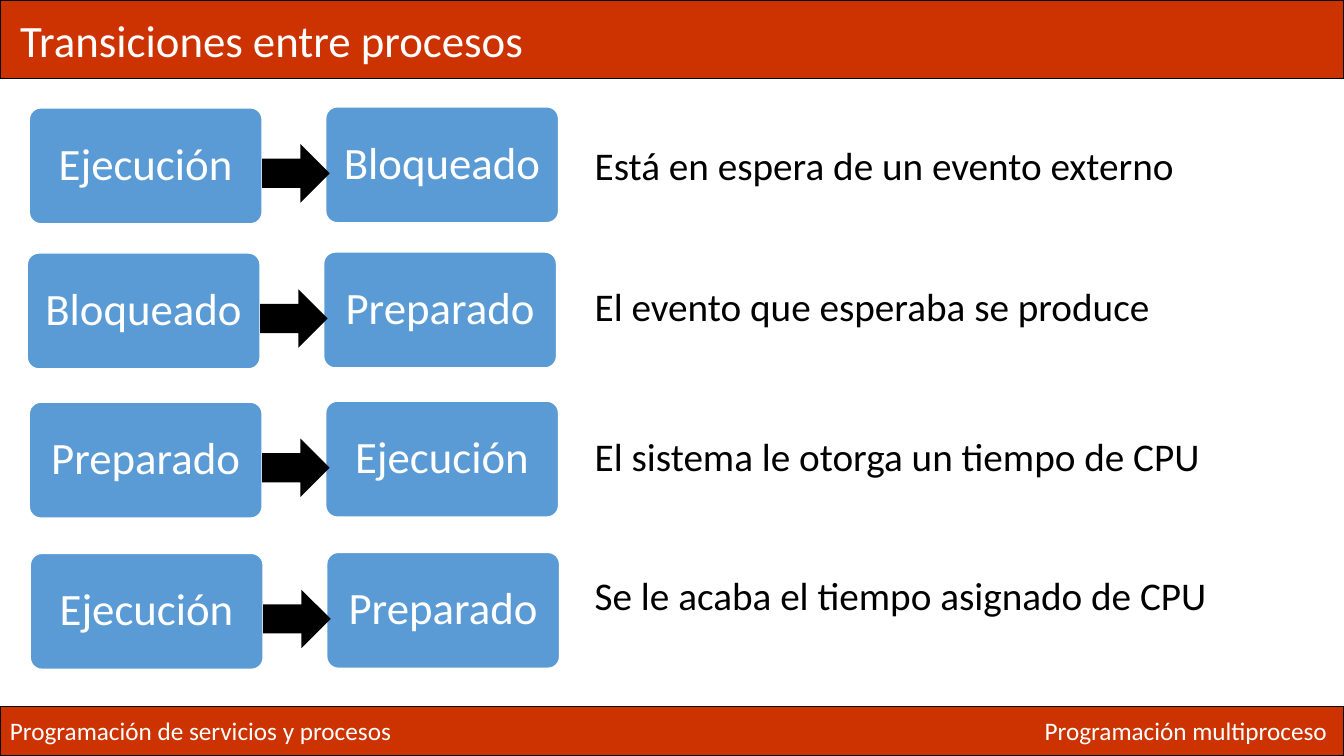
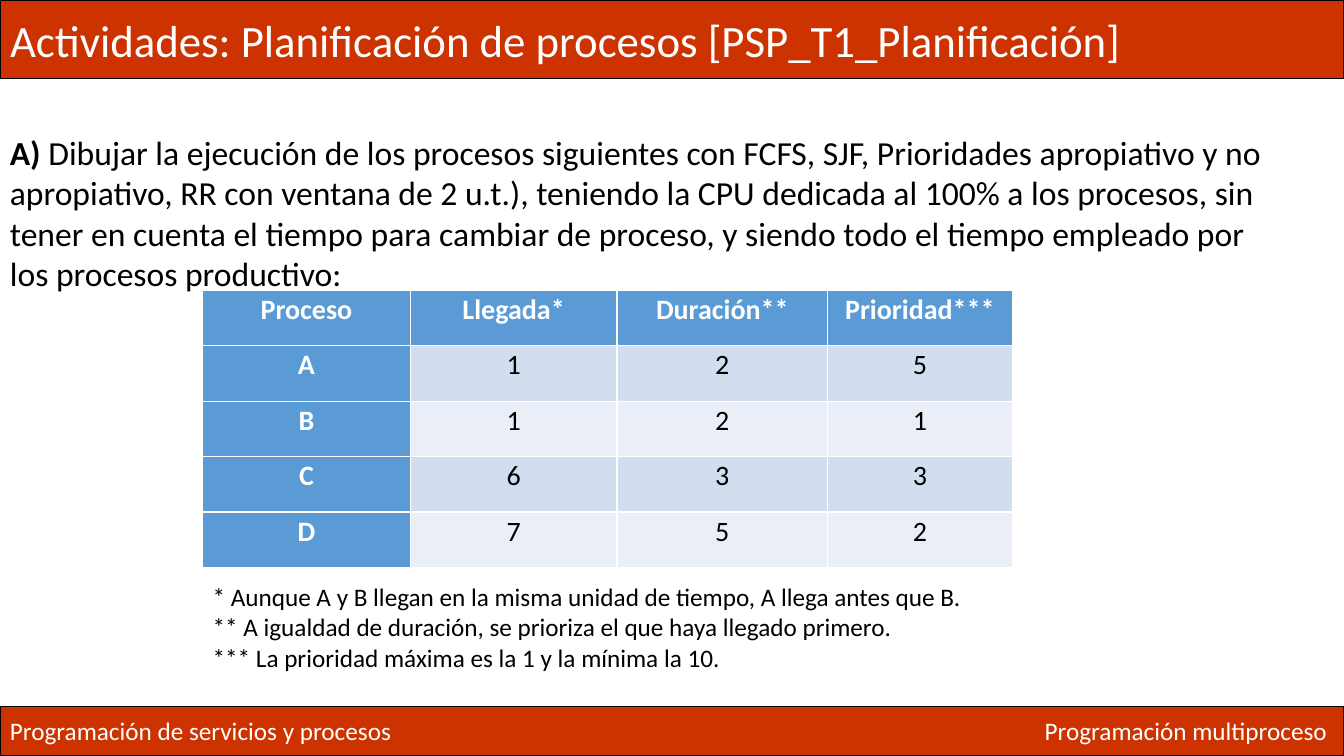
from pptx import Presentation
from pptx.dml.color import RGBColor
from pptx.enum import shapes, text
from pptx.util import Inches, Pt

FONT = "Calibri"
RED, BLUE, BLACK, WHITE = "CC3300", "5B9BD5", "000000", "FFFFFF"
ROW_BANDS = ("D2DEEF", "EAEFF7")
WIDTH, HEIGHT = 13.33, 7.5
TITLE_HEIGHT, FOOTER_TOP = 0.78, 7.01
LEFT, CENTER, RIGHT = text.PP_ALIGN.LEFT, text.PP_ALIGN.CENTER, text.PP_ALIGN.RIGHT
TOP, MIDDLE = text.MSO_ANCHOR.TOP, text.MSO_ANCHOR.MIDDLE

# text, left, width, alignment
FOOTERS = [
    ("Programación de servicios y procesos", 0, 4.02, LEFT),
    ("Programación multiproceso", 10.23, 3.03, RIGHT),
]

# from, to, description, left, top, top of the description
TRANSITIONS = [
    ("Ejecución", "Bloqueado", "Está en espera de un evento externo", 0.29, 1.07, 1.35),
    ("Bloqueado", "Preparado", "El evento que esperaba se produce", 0.27, 2.51, 2.75),
    ("Preparado", "Ejecución", "El sistema le otorga un tiempo de CPU", 0.29, 3.99, 4.24),
    ("Ejecución", "Preparado", "Se le acaba el tiempo asignado de CPU", 0.3, 5.49, 5.62),
]
STATE_WIDTH, STATE_HEIGHT, STATE_STEP = 2.31, 1.15, 2.94

EXERCISE = [
    ("A)", True),
    (" Dibujar la ejecución de los procesos siguientes con FCFS, SJF, Prioridades "
     "apropiativo y no apropiativo, RR con ventana de 2 u.t.), teniendo la CPU dedicada "
     "al 100% a los procesos, sin tener en cuenta el tiempo para cambiar de proceso, y "
     "siendo todo el tiempo empleado por los procesos productivo:", False),
]
PROCESSES = [
    ("Proceso", "Llegada*", "Duración**", "Prioridad***"),
    ("A", "1", "2", "5"),
    ("B", "1", "2", "1"),
    ("C", "6", "3", "3"),
    ("D", "7", "5", "2"),
]
COLUMN_WIDTHS = (2.06, 2.05, 2.09, 1.83)
ROW_HEIGHT = 0.55
NOTES = [
    "* Aunque A y B llegan en la misma unidad de tiempo, A llega antes que B.",
    "** A igualdad de duración, se prioriza el que haya llegado primero.",
    "*** La prioridad máxima es la 1 y la mínima la 10.",
]


def rgb(code):
    return RGBColor.from_string(code)


def inches(*lengths):
    return [Inches(length) for length in lengths]


def write(frame, paragraphs, size=18, color=BLACK, bold=False, align=LEFT, spacing=None):
    """Fill a text frame; a paragraph is a string or a list of (text, bold) spans."""
    for index, content in enumerate(paragraphs):
        para = frame.paragraphs[0] if index == 0 else frame.add_paragraph()
        para.alignment = align
        para.line_spacing = spacing
        spans = [(content, bold)] if isinstance(content, str) else content
        for words, is_bold in spans:
            span = para.add_run()
            span.text = words
            span.font.name = FONT
            span.font.size = Pt(size)
            span.font.bold = is_bold
            span.font.color.rgb = rgb(color)


def add_text(page, place, paragraphs, wrap=True, **style):
    frame = page.shapes.add_textbox(*inches(*place)).text_frame
    frame.word_wrap = wrap
    write(frame, paragraphs, **style)


def paint(shape, fill, line=None):
    shape.fill.solid()
    shape.fill.fore_color.rgb = rgb(fill)
    if line:
        shape.line.color.rgb = rgb(line)
        shape.line.width = Pt(1)
    else:
        shape.line.fill.background()


def add_shape(page, kind, place, fill, line=None):
    shape = page.shapes.add_shape(kind, *inches(*place))
    shape.shadow.inherit = False
    paint(shape, fill, line)
    return shape


def add_page(deck, title, indent=0.1):
    """Add a slide with the title band and the footer band."""
    page = deck.slides.add_slide(deck.slide_layouts[5])
    band = page.shapes.title
    band.left, band.top, band.width, band.height = inches(0, 0, WIDTH, TITLE_HEIGHT)
    paint(band, RED, BLACK)
    frame = band.text_frame
    frame.auto_size = text.MSO_AUTO_SIZE.NONE
    frame.vertical_anchor = MIDDLE
    frame.margin_left = Inches(indent)
    write(frame, [title], size=32, color=WHITE)

    add_shape(page, shapes.MSO_SHAPE.RECTANGLE,
              (0, FOOTER_TOP, WIDTH, HEIGHT - FOOTER_TOP), RED, BLACK)
    for words, left, width, align in FOOTERS:
        add_text(page, (left, 7.05, width, 0.4), [words], wrap=False,
                 color=WHITE, align=align)
    return page


def add_state(page, name, left, top):
    box = add_shape(page, shapes.MSO_SHAPE.ROUNDED_RECTANGLE,
                    (left, top, STATE_WIDTH, STATE_HEIGHT), BLUE, WHITE)
    box.adjustments[0] = 0.1
    box.text_frame.vertical_anchor = MIDDLE
    write(box.text_frame, [name], size=32, color=WHITE, align=CENTER, spacing=0.9)


def add_transitions(page):
    for source, target, description, left, top, text_top in TRANSITIONS:
        add_state(page, source, left, top)
        add_state(page, target, left + STATE_STEP, top - 0.01)
        add_shape(page, shapes.MSO_SHAPE.RIGHT_ARROW,
                  (left + STATE_WIDTH, top + 0.36, 0.67, 0.58), BLACK)
        add_text(page, (5.8, text_top, 7.47, 0.57), [description], size=28)


def add_process_table(page, left, top):
    rows, columns = len(PROCESSES), len(COLUMN_WIDTHS)
    place = inches(left, top, sum(COLUMN_WIDTHS), rows * ROW_HEIGHT)
    table = page.shapes.add_table(rows, columns, *place).table
    table.first_col = True
    for column, width in zip(table.columns, COLUMN_WIDTHS):
        column.width = Inches(width)
    for r, values in enumerate(PROCESSES):
        for c, value in enumerate(values):
            heading = r == 0 or c == 0
            cell = table.cell(r, c)
            cell.fill.solid()
            cell.fill.fore_color.rgb = rgb(BLUE if heading else ROW_BANDS[(r - 1) % 2])
            cell.margin_left = cell.margin_right = Inches(0.07)
            cell.margin_top = cell.margin_bottom = 0
            cell.vertical_anchor = TOP
            write(cell.text_frame, [value], size=20, color=WHITE if heading else BLACK,
                  bold=heading, align=CENTER, spacing=1.07)


def main():
    deck = Presentation()
    deck.slide_width, deck.slide_height = inches(WIDTH, HEIGHT)

    add_transitions(add_page(deck, "Transiciones entre procesos", indent=0.2))

    page = add_page(deck, "Actividades: Planificación de procesos [PSP_T1_Planificación]")
    add_process_table(page, 2.01, 2.88)
    add_text(page, (0, 1.26, 12.73, 1.7), [EXERCISE], size=24)
    add_text(page, (2.01, 5.72, 7.72, 1.01), NOTES, wrap=False)

    deck.save("out.pptx")


if __name__ == "__main__":
    main()
